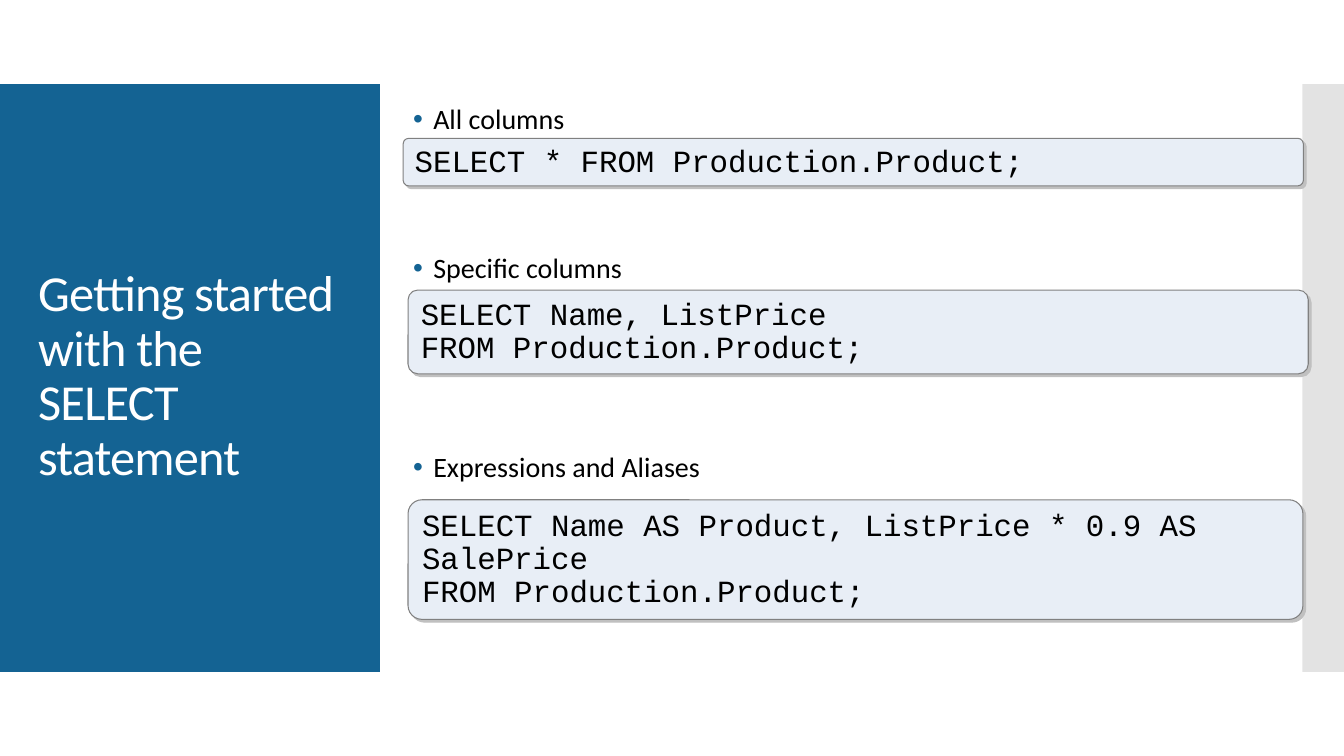
from dataclasses import dataclass

from lxml.etree import SubElement
from pptx import Presentation
from pptx.dml.color import RGBColor
from pptx.enum.shapes import MSO_SHAPE
from pptx.enum.text import MSO_ANCHOR, MSO_AUTO_SIZE, PP_ALIGN
from pptx.oxml.ns import qn
from pptx.shapes.autoshape import Shape
from pptx.slide import Slide
from pptx.text.text import _Paragraph as Paragraph
from pptx.util import Pt


@dataclass(frozen=True)
class Theme:
    accent: str = "146393"
    edge: str = "C8C8C8"
    code_fill: str = "E8EEF6"
    code_line: str = "808080"
    code_shadow: str = "C0C0C0"
    dark: str = "000000"
    light: str = "FFFFFF"
    body_font: str = "Calibri"
    code_font: str = "Courier New"
    title_size: float = 36
    body_size: float = 20
    code_size: float = 22
    line_spacing: float = 0.9


@dataclass(frozen=True)
class Frame:
    left: float
    top: float
    width: float
    height: float

    def lengths(self) -> tuple[Pt, Pt, Pt, Pt]:
        return Pt(self.left), Pt(self.top), Pt(self.width), Pt(self.height)


@dataclass(frozen=True)
class Panel:
    frame: Frame
    color: str
    opacity: int = 100


@dataclass(frozen=True)
class Topic:
    label: str
    space_before: float
    code: str
    frame: Frame


THEME = Theme()
TITLE = "Getting started with the SELECT statement"
TITLE_FRAME = Frame(20.16, 88.5, 231.84, 362)
TOPICS_FRAME = Frame(288, 75.5, 649.5, 400)

PANELS = [
    Panel(Frame(0, 60, 271.3, 420), THEME.accent),
    Panel(Frame(930.3, 60, 29.7, 420), THEME.edge, 50),
]

TOPICS = [
    Topic(
        "All columns",
        0,
        "SELECT * FROM Production.Product;",
        Frame(288, 98.8, 643, 34),
    ),
    Topic(
        "Specific columns",
        84.4,
        "SELECT Name, ListPrice\nFROM Production.Product;",
        Frame(291.5, 207.2, 643, 59.8),
    ),
    Topic(
        "Expressions and Aliases",
        120.9,
        "SELECT Name AS Product, ListPrice * 0.9 AS SalePrice\n"
        "FROM Production.Product;",
        Frame(291.5, 357, 639.2, 85.4),
    ),
]


def style_para(para: Paragraph, font: str, size: float, color: str) -> None:
    para.alignment = PP_ALIGN.LEFT
    para.line_spacing = THEME.line_spacing
    for span in para.runs:
        span.font.name = font
        span.font.size = Pt(size)
        span.font.color.rgb = RGBColor.from_string(color)


def add_filled_shape(
    page: Slide, kind: MSO_SHAPE, frame: Frame, color: str
) -> Shape:
    shape = page.shapes.add_shape(kind, *frame.lengths())
    shape.fill.solid()
    shape.fill.fore_color.rgb = RGBColor.from_string(color)
    shape.line.fill.background()
    shape.shadow.inherit = False
    return shape


def add_panel(page: Slide, panel: Panel) -> None:
    shape = add_filled_shape(page, MSO_SHAPE.RECTANGLE, panel.frame, panel.color)
    if panel.opacity < 100:
        color = shape._element.spPr.find(qn("a:solidFill")).find(qn("a:srgbClr"))
        SubElement(color, qn("a:alpha"), val=str(panel.opacity * 1000))


def add_title(page: Slide) -> None:
    box = page.shapes.add_textbox(*TITLE_FRAME.lengths())
    box.text_frame.word_wrap = True
    box.text_frame.vertical_anchor = MSO_ANCHOR.MIDDLE
    box.text_frame.text = TITLE
    para = box.text_frame.paragraphs[0]
    style_para(para, THEME.body_font, THEME.title_size, THEME.light)
    para.runs[0].font._element.set("spc", "-60")


def add_bullet(para: Paragraph) -> None:
    properties = para._p.get_or_add_pPr()
    properties.set("marL", str(Pt(14.4)))
    properties.set("indent", str(-Pt(14.4)))
    bullet_color = SubElement(properties, qn("a:buClr"))
    SubElement(bullet_color, qn("a:srgbClr"), val=THEME.accent)
    SubElement(properties, qn("a:buFont"), typeface="Arial")
    SubElement(properties, qn("a:buChar"), char="•")


def add_topic_list(page: Slide, topics: list[Topic]) -> None:
    box = page.shapes.add_textbox(*TOPICS_FRAME.lengths())
    frame = box.text_frame
    frame.word_wrap = True
    frame.margin_top = 0
    frame.text = "\n".join(topic.label for topic in topics)
    for para, topic in zip(frame.paragraphs, topics):
        style_para(para, THEME.body_font, THEME.body_size, THEME.dark)
        para.space_before = Pt(topic.space_before)
        add_bullet(para)


def add_code_shadow(shape: Shape) -> None:
    effects = shape._element.spPr.find(qn("a:effectLst"))
    shadow = SubElement(
        effects,
        qn("a:outerShdw"),
        dist=str(Pt(2.8)),
        dir=str(45 * 60000),
        algn="ctr",
        rotWithShape="0",
    )
    SubElement(shadow, qn("a:srgbClr"), val=THEME.code_shadow)


def add_code_box(page: Slide, topic: Topic) -> None:
    shape = add_filled_shape(
        page, MSO_SHAPE.ROUNDED_RECTANGLE, topic.frame, THEME.code_fill
    )
    shape.adjustments[0] = 0.116
    shape.line.color.rgb = RGBColor.from_string(THEME.code_line)
    shape.line.width = Pt(0.75)
    add_code_shadow(shape)
    frame = shape.text_frame
    frame.word_wrap = True
    frame.auto_size = MSO_AUTO_SIZE.SHAPE_TO_FIT_TEXT
    frame.vertical_anchor = MSO_ANCHOR.MIDDLE
    frame.text = topic.code
    for para in frame.paragraphs:
        style_para(para, THEME.code_font, THEME.code_size, THEME.dark)


def main() -> None:
    deck = Presentation()
    deck.slide_width = Pt(960)
    deck.slide_height = Pt(540)
    page = deck.slides.add_slide(deck.slide_layouts[6])
    for panel in PANELS:
        add_panel(page, panel)
    add_title(page)
    add_topic_list(page, TOPICS)
    for topic in TOPICS:
        add_code_box(page, topic)
    deck.save("out.pptx")


if __name__ == "__main__":
    main()
